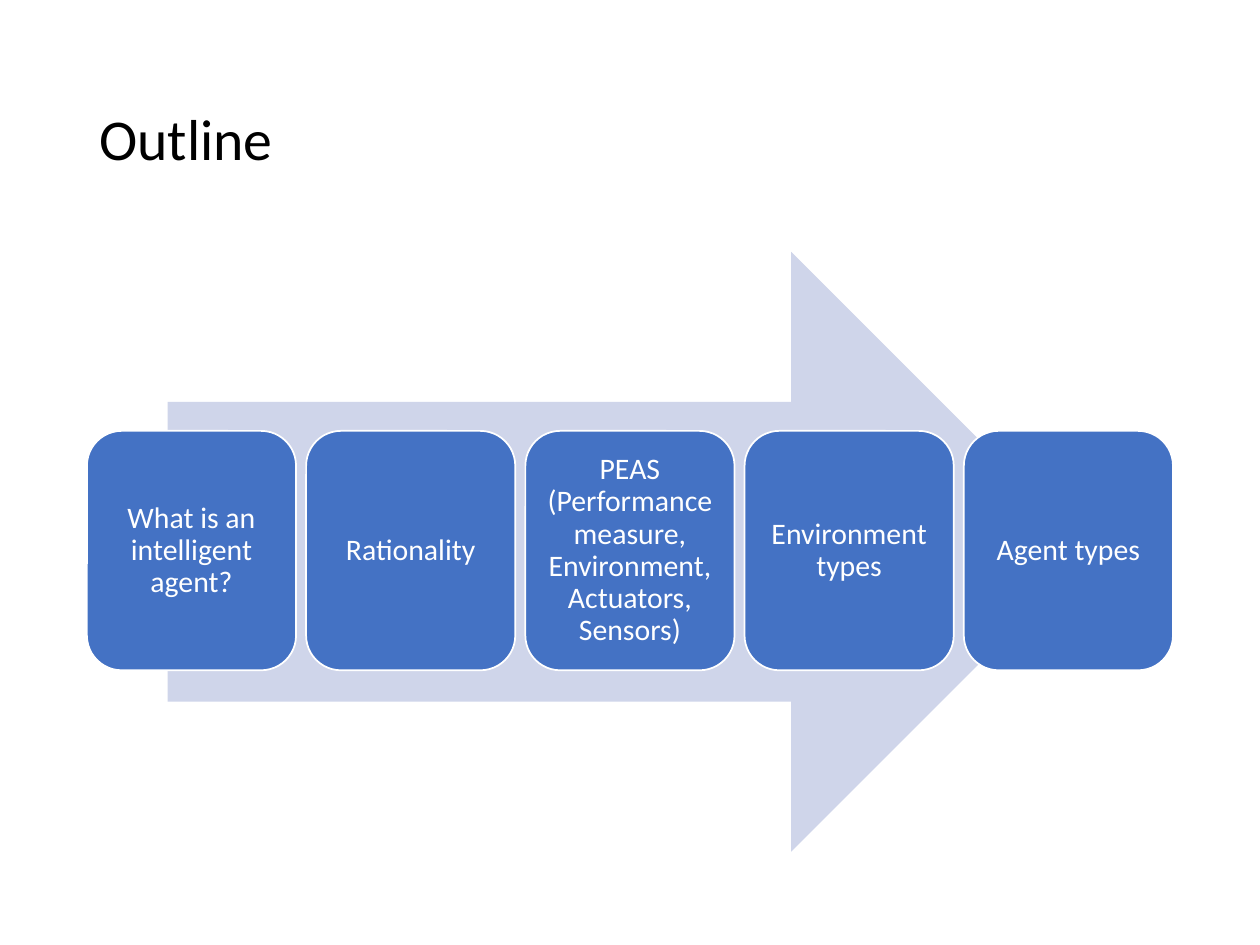
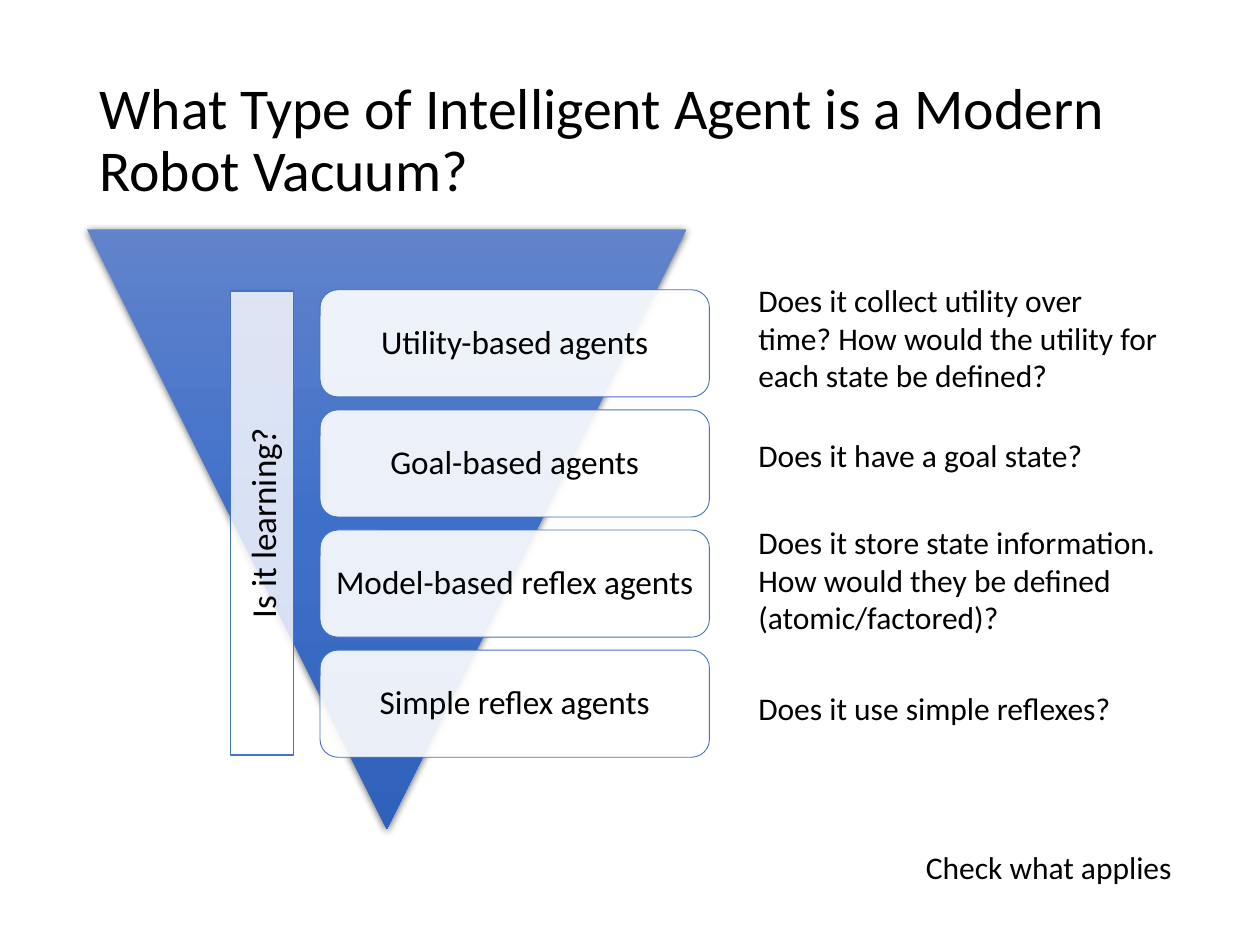
from lxml import etree
from pptx import Presentation
from pptx.dml.color import RGBColor
from pptx.enum.shapes import MSO_SHAPE
from pptx.enum.text import MSO_ANCHOR, PP_ALIGN
from pptx.oxml import parse_xml
from pptx.oxml.ns import nsdecls, qn
from pptx.util import Inches, Pt

CENTER, LEFT = PP_ALIGN.CENTER, PP_ALIGN.LEFT
MIDDLE, TOP = MSO_ANCHOR.MIDDLE, MSO_ANCHOR.TOP
ARROW, RECTANGLE = MSO_SHAPE.RIGHT_ARROW, MSO_SHAPE.RECTANGLE
ROUNDED = MSO_SHAPE.ROUNDED_RECTANGLE
INVERTED_TRIANGLE = MSO_SHAPE.FLOWCHART_MERGE

FONT = "Calibri"
BLACK, WHITE, BLUE, PALE_BLUE = "000000", "FFFFFF", "4472C4", "CFD5EA"
TRIANGLE_GRADIENT = [(0, "6183CB"), (50, "3E70CA"), (100, "3062BB")]

OUTLINE_TITLE = "Outline"
OUTLINE_STEPS = [
    "What is an intelligent agent?",
    "Rationality",
    "PEAS (Performance measure, Environment, Actuators, Sensors)",
    "Environment types",
    "Agent types",
]

AGENT_TITLE = "What Type of Intelligent Agent is a Modern Robot Vacuum?"
LEARNING_QUESTION = "Is it learning?"
CLOSING_PROMPT = "Check what applies"
# agent type, question, top of question, width and height of question
AGENT_TYPES = [
    ("Utility-based agents",
     "Does it collect utility over time? How would the utility for each state be defined?",
     2.18, 3.4, 1.01),
    ("Goal-based agents", "Does it have a goal state?", 3.41, 3.08, 0.4),
    ("Model-based reflex agents",
     "Does it store state information. How would they be defined (atomic/factored)?",
     4.1, 3.5, 1.01),
    ("Simple reflex agents", "Does it use simple reflexes?", 5.42, 3.03, 0.4),
]

MARGIN, CONTENT_WIDTH = 0.69, 8.62
STEP_TOP, STEP_WIDTH, STEP_HEIGHT = 3.42, 1.66, 1.9
CARD_LEFT, CARD_TOP, CARD_WIDTH, CARD_HEIGHT = 2.54, 2.3, 3.09, 0.85
CARD_PITCH = (5.16 - CARD_TOP) / (len(AGENT_TYPES) - 1)
QUESTION_LEFT = 5.92


def color(value):
    return RGBColor.from_string(value)


def write(shape, text, size=18, ink=BLACK, align=LEFT, anchor=TOP, spacing=1.0, inset=None):
    frame = shape.text_frame
    frame.word_wrap = True
    frame.vertical_anchor = anchor
    if inset is not None:
        frame.margin_left = frame.margin_right = Inches(inset)
        frame.margin_top = frame.margin_bottom = Inches(inset)
    paragraph = frame.paragraphs[0]
    paragraph.alignment = align
    paragraph.line_spacing = spacing
    run = paragraph.add_run()
    run.text = text
    run.font.name = FONT
    run.font.size = Pt(size)
    run.font.color.rgb = color(ink)


def add_text(slide, box, text, **text_format):
    write(slide.shapes.add_textbox(*map(Inches, box)), text, **text_format)


def add_preset(slide, preset, box, fill=None, opacity=100, line=None, line_width=1):
    shape = slide.shapes.add_shape(preset, *map(Inches, box))
    shape.shadow.inherit = False
    if fill:
        shape.fill.solid()
        shape.fill.fore_color.rgb = color(fill)
        if opacity < 100:
            fill_color = shape.element.spPr.find(".//" + qn("a:srgbClr"))
            etree.SubElement(fill_color, qn("a:alpha"), val=str(opacity * 1000))
    if line:
        shape.line.color.rgb = color(line)
        shape.line.width = Pt(line_width)
    else:
        shape.line.fill.background()
    return shape


def add_gradient_and_shadow(shape, stops):
    """Fill from top to bottom and cast a soft shadow downwards."""
    stop_xml = "".join(
        f'<a:gs pos="{position * 1000}"><a:srgbClr val="{value}"/></a:gs>'
        for position, value in stops)
    gradient = parse_xml(
        f'<a:gradFill {nsdecls("a")} rotWithShape="1"><a:gsLst>{stop_xml}</a:gsLst>'
        '<a:lin ang="5400000" scaled="0"/></a:gradFill>')
    shadow = parse_xml(
        f'<a:outerShdw {nsdecls("a")} blurRad="{Pt(4.5)}" dist="{Pt(1.5)}" dir="5400000" '
        'algn="ctr" rotWithShape="0">'
        f'<a:srgbClr val="{BLACK}"><a:alpha val="63000"/></a:srgbClr></a:outerShdw>')
    properties = shape.element.spPr
    properties.find(qn("a:ln")).addprevious(gradient)
    properties.find(qn("a:effectLst")).append(shadow)


def add_titled_slide(presentation, title):
    slide = presentation.slides.add_slide(presentation.slide_layouts[6])
    add_text(slide, (MARGIN, 0.4, CONTENT_WIDTH, 1.45), title,
             size=33, anchor=MIDDLE, spacing=0.9)
    return slide


def build_outline(presentation):
    slide = add_titled_slide(presentation, OUTLINE_TITLE)
    add_preset(slide, ARROW, (1.33, 2, 7.33, 4.76), fill=PALE_BLUE)
    pitch = (CONTENT_WIDTH - STEP_WIDTH) / (len(OUTLINE_STEPS) - 1)
    for index, step in enumerate(OUTLINE_STEPS):
        box = (MARGIN + index * pitch, STEP_TOP, STEP_WIDTH, STEP_HEIGHT)
        card = add_preset(slide, ROUNDED, box, fill=BLUE, line=WHITE)
        write(card, step, size=17, ink=WHITE, align=CENTER, anchor=MIDDLE,
              spacing=0.9, inset=0.07)


def build_agent_types(presentation):
    slide = add_titled_slide(presentation, AGENT_TITLE)
    triangle = add_preset(slide, INVERTED_TRIANGLE, (MARGIN, 1.82, 4.76, 4.76))
    add_gradient_and_shadow(triangle, TRIANGLE_GRADIENT)

    for index, (agent, question, top, width, height) in enumerate(AGENT_TYPES):
        box = (CARD_LEFT, CARD_TOP + index * CARD_PITCH, CARD_WIDTH, CARD_HEIGHT)
        card = add_preset(slide, ROUNDED, box, fill=WHITE, opacity=90,
                          line=BLUE, line_width=0.5)
        write(card, agent, size=19, align=CENTER, anchor=MIDDLE, spacing=0.9, inset=0.08)
        add_text(slide, (QUESTION_LEFT, top, width, height), question)

    learning_bar = add_preset(slide, RECTANGLE, (0.24, 3.9, 3.68, 0.5),
                              fill=WHITE, opacity=80, line=BLUE)
    learning_bar.rotation = 270
    write(learning_bar, LEARNING_QUESTION, size=20, align=CENTER, anchor=MIDDLE)
    add_text(slide, (7.25, 6.68, 2.42, 0.4), CLOSING_PROMPT)


def main():
    presentation = Presentation()
    presentation.slide_width = Inches(10)
    presentation.slide_height = Inches(7.5)
    build_outline(presentation)
    build_agent_types(presentation)
    presentation.save("out.pptx")


if __name__ == "__main__":
    main()
